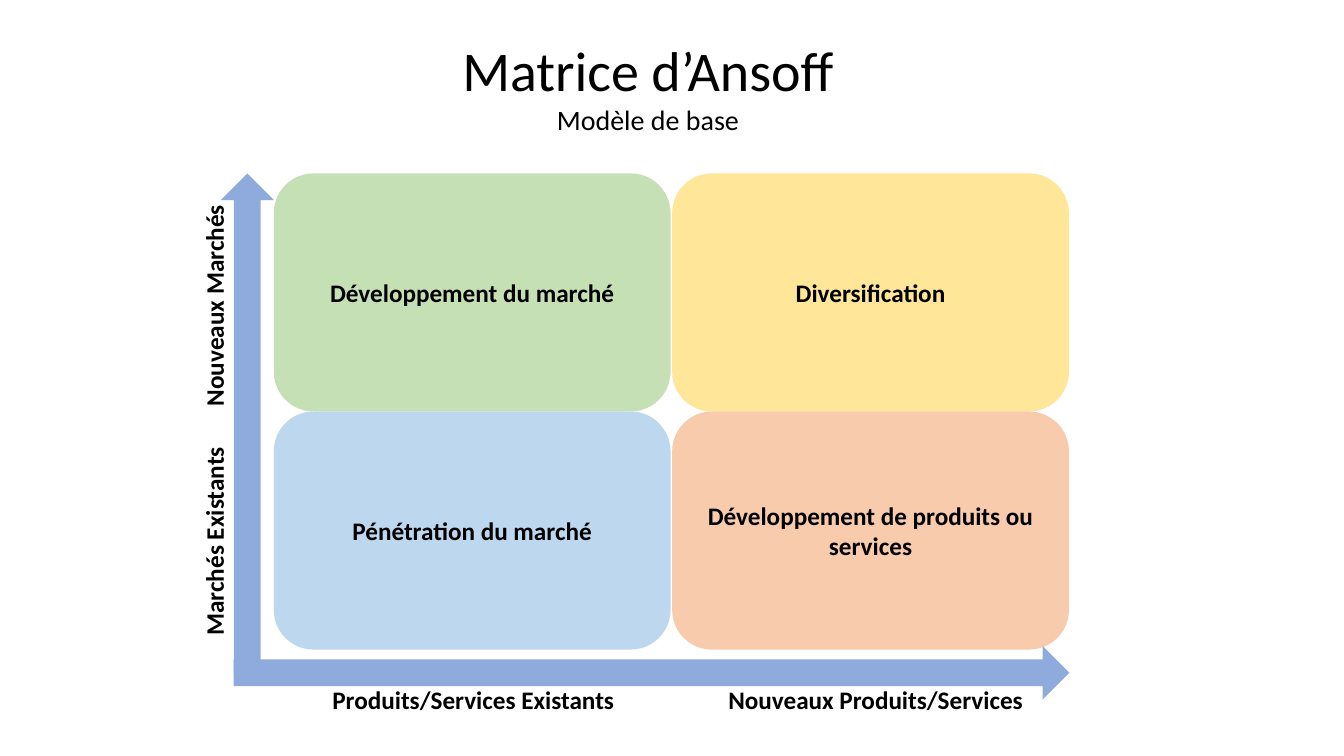
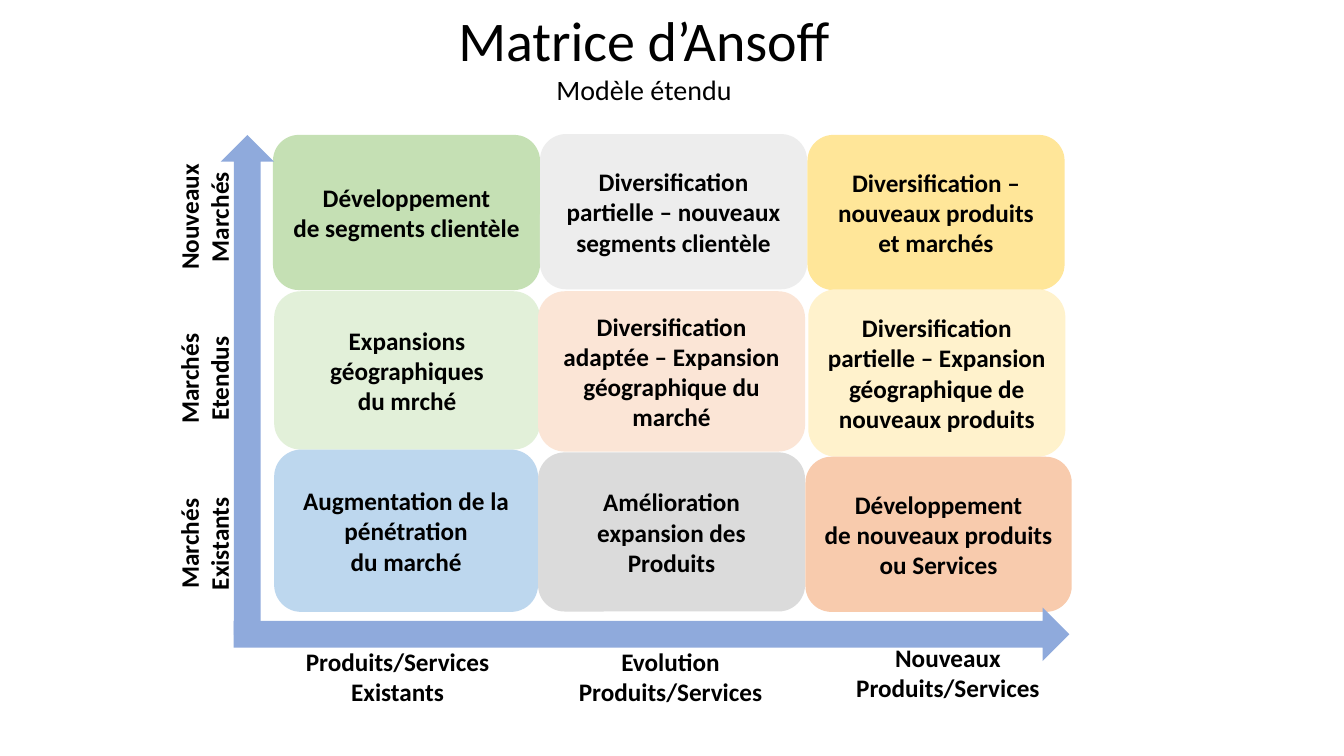
"""Build two slides showing the basic and extended Ansoff matrix."""
from pptx import Presentation
from pptx.dml.color import RGBColor
from pptx.enum import shapes, text
from pptx.util import Cm, Pt

BLACK = RGBColor(0x00, 0x00, 0x00)
AXIS = RGBColor(0x8F, 0xAA, 0xDC)
GREEN = RGBColor(0xC5, 0xE0, 0xB4)
MINT = RGBColor(0xE2, 0xF0, 0xD9)
BLUE = RGBColor(0xBD, 0xD7, 0xEE)
YELLOW = RGBColor(0xFF, 0xE6, 0x99)
CREAM = RGBColor(0xFF, 0xF2, 0xCC)
ORANGE = RGBColor(0xF8, 0xCB, 0xAD)
PEACH = RGBColor(0xFB, 0xE5, 0xD6)
SILVER = RGBColor(0xED, 0xED, 0xED)
GREY = RGBColor(0xDB, 0xDB, 0xDB)

FONT = {"name": "Calibri", "bold": False}
HEAD = {**FONT, "size": Pt(40)}
SUB = {**FONT, "size": Pt(20)}
BOLD = {**FONT, "size": Pt(18), "bold": True}
FRAME = {"word_wrap": True, "auto_size": text.MSO_AUTO_SIZE.NONE}
KIND = shapes.MSO_SHAPE
TOP, MIDDLE = text.MSO_ANCHOR.TOP, text.MSO_ANCHOR.MIDDLE

TITLE = "Matrice d’Ansoff"
BASE = [
    [("Développement du marché", GREEN), ("Diversification", YELLOW)],
    [("Pénétration du marché", BLUE),
     ("Développement de produits ou services", ORANGE)],
]
WIDE = [
    ("Développement\nde segments clientèle", GREEN, (6.88, 3.4, 6.73, 3.91)),
    ("Diversification\npartielle – nouveaux segments clientèle", SILVER,
     (13.61, 3.38, 6.73, 3.91)),
    ("Diversification – nouveaux produits et marchés", YELLOW,
     (20.35, 3.4, 6.48, 3.91)),
    ("Expansions géographiques\ndu mrché", MINT, (6.91, 7.34, 6.7, 3.99)),
    ("Diversification\nadaptée – Expansion géographique du marché", PEACH,
     (13.56, 7.34, 6.73, 4.04)),
    ("Diversification\npartielle – Expansion géographique de nouveaux produits",
     CREAM, (20.37, 7.29, 6.48, 4.22)),
    ("Augmentation de la pénétration\ndu marché", BLUE,
     (6.91, 11.33, 6.65, 4.09)),
    ("Amélioration expansion des Produits", GREY, (13.56, 11.4, 6.73, 4.01)),
    ("Développement\nde nouveaux produits ou Services", ORANGE,
     (20.3, 11.51, 6.71, 3.91)),
]
SLIDES = [
    {"sub": "Modèle de base", "head": (8.1, 0.76), "top": 4.37,
     "cells": [(words, tint, (6.9 + 10.04 * col, 4.37 + 6 * row, 10, 6))
               for row, line in enumerate(BASE)
               for col, (words, tint) in enumerate(line)],
     "up": (8, 1.02, [("Nouveaux Marchés", 5.39, 7.7),
                      ("Marchés Existants", 5.39, 13.64)]),
     "flat": (8, 1.02, [("Produits/Services Existants", 11.93, 17.63),
                        ("Nouveaux Produits/Services", 22.07, 17.63)])},
    {"sub": "Modèle étendu", "head": (8, 0), "top": 3.4, "cells": WIDE,
     "up": (4.1, 1.8, [("Nouveaux Marchés", 5.15, 5.47),
                       ("Marchés Etendus", 5.15, 9.54),
                       ("Marchés Existants", 5.15, 13.7)]),
     "flat": (5.4, 1.8, [("Produits/Services Existants", 10.02, 17.06),
                         ("Evolution\nProduits/Services", 16.9, 17.06),
                         ("Nouveaux Produits/Services", 23.89, 16.95)])},
]


def write(shape, words, styles, anchor=TOP):
    """Fill a shape with centred paragraphs, one style for each."""
    frame = shape.text_frame
    frame.text = words
    for key, value in {**FRAME, "vertical_anchor": anchor}.items():
        setattr(frame, key, value)
    for para, style in zip(frame.paragraphs, styles):
        para.alignment = text.PP_ALIGN.CENTER
        font = para.runs[0].font
        font.color.rgb = BLACK
        for key, value in style.items():
            setattr(font, key, value)


def block(slide, kind, box, tint):
    """Add a flat shape without outline."""
    shape = slide.shapes.add_shape(kind, *map(Cm, box))
    shape.shadow.inherit = False
    shape.fill.solid()
    shape.fill.fore_color.rgb = tint
    shape.line.fill.background()
    return shape


def label(slide, group, turn):
    """Add the labels of one axis around their centres."""
    wide, high, items = group
    for words, mid, level in items:
        box = (mid - wide / 2, level - high / 2, wide, high)
        shape = slide.shapes.add_textbox(*map(Cm, box))
        shape.rotation = turn
        write(shape, words, [BOLD] * 2)


def draw(deck, data):
    """Draw one matrix slide."""
    slide = deck.slides.add_slide(deck.slide_layouts[5])
    title = slide.shapes.title
    box = (*data["head"], 16.46, 2.82)
    for key, value in zip(("left", "top", "width", "height"), box):
        setattr(title, key, Cm(value))
    write(title, TITLE + "\n" + data["sub"], [HEAD, SUB])
    for words, tint, box in data["cells"]:
        cell = block(slide, KIND.ROUNDED_RECTANGLE, box, tint)
        write(cell, words, [BOLD] * 2, MIDDLE)
    top = data["top"]
    block(slide, KIND.UP_ARROW, (5.56, top, 1.35, 12.6), AXIS)
    block(slide, KIND.RIGHT_ARROW, (5.89, top + 11.91, 21.06, 1.35), AXIS)
    label(slide, data["up"], 270)
    label(slide, data["flat"], 0)


def main():
    """Save the deck."""
    deck = Presentation()
    deck.slide_width, deck.slide_height = Cm(33.87), Cm(19.05)
    for data in SLIDES:
        draw(deck, data)
    deck.save("out.pptx")


if __name__ == "__main__":
    main()
